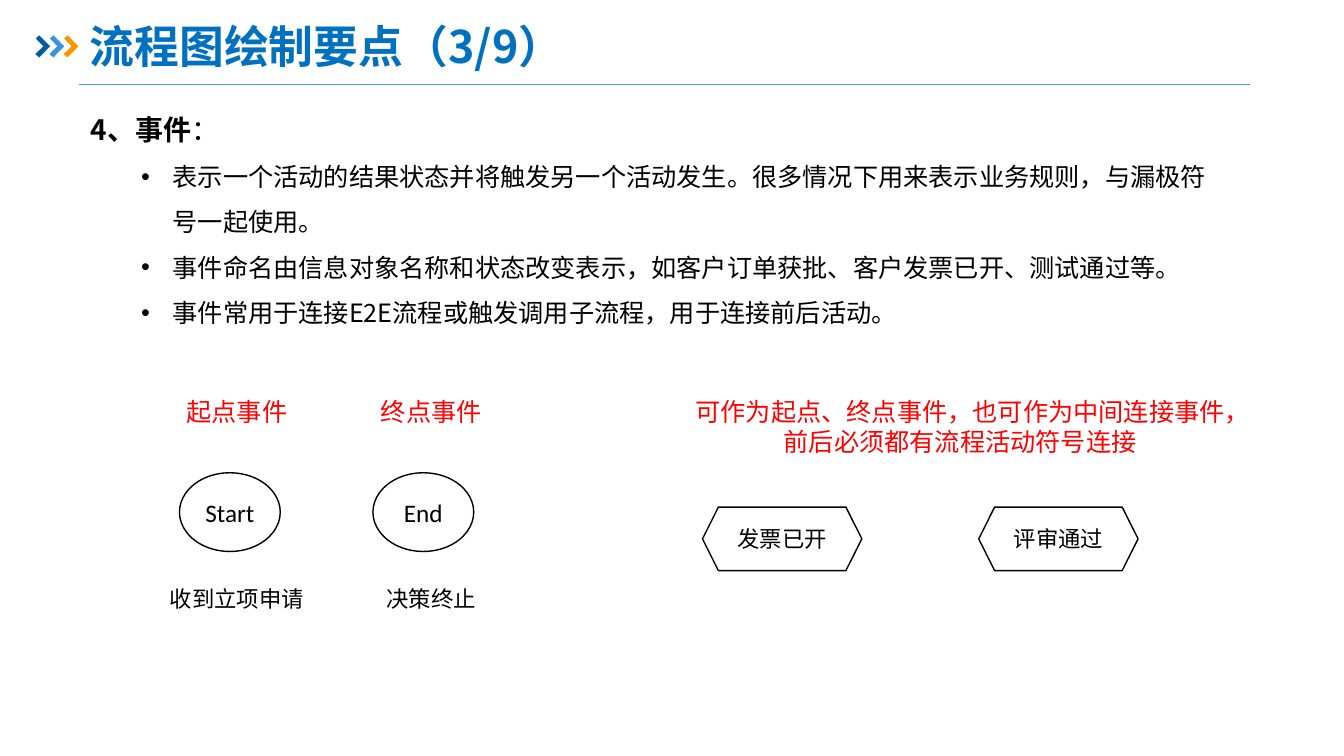
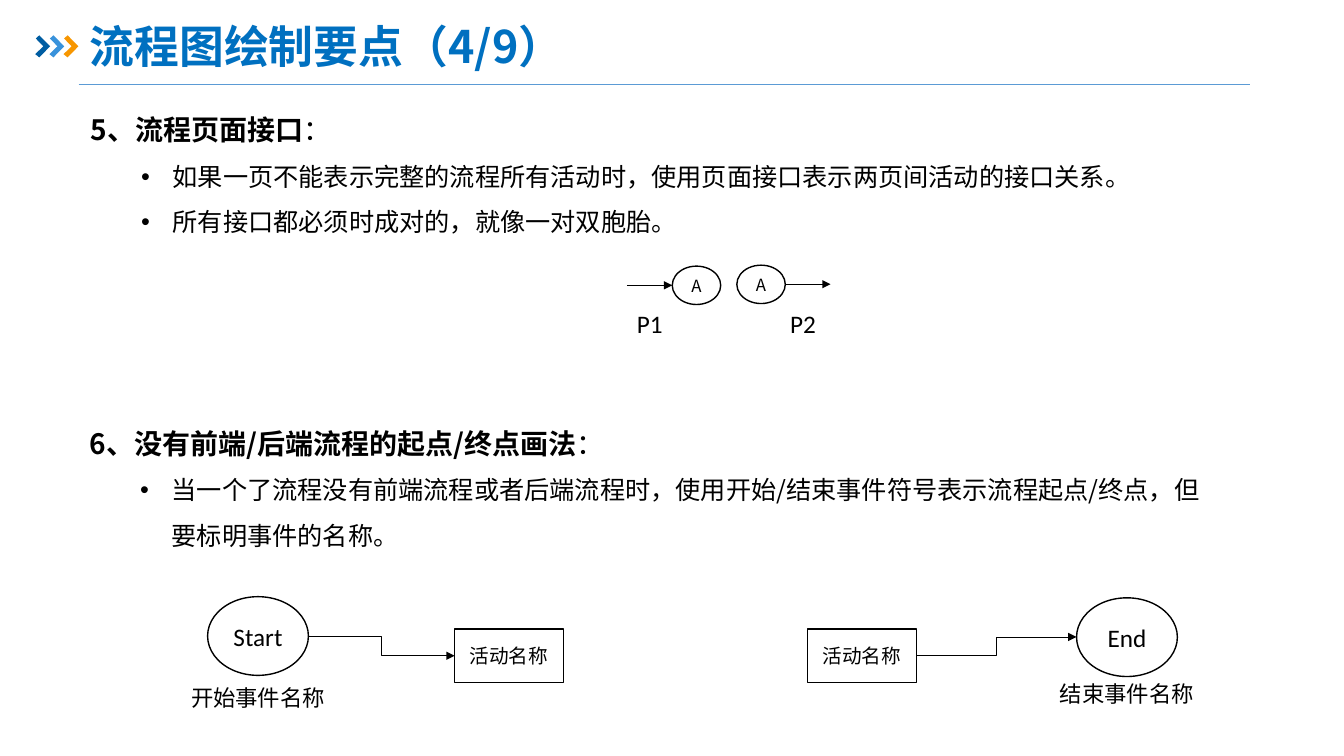
"""Build two slides on the key points of drawing flowcharts."""
from dataclasses import dataclass
from typing import Optional

import lxml.etree
import pptx
import pptx.dml.color
import pptx.enum.dml
import pptx.enum.shapes
import pptx.enum.text
import pptx.oxml.ns
import pptx.presentation
import pptx.shapes.autoshape
import pptx.shapes.base
import pptx.shapes.connector
import pptx.slide
import pptx.text.text
import pptx.util

Pt = pptx.util.Pt
RGBColor = pptx.dml.color.RGBColor
qn = pptx.oxml.ns.qn
SHAPE = pptx.enum.shapes.MSO_SHAPE
CONNECTOR = pptx.enum.shapes.MSO_CONNECTOR
ALIGN = pptx.enum.text.PP_ALIGN
ANCHOR = pptx.enum.text.MSO_ANCHOR
AUTO_SIZE = pptx.enum.text.MSO_AUTO_SIZE

CJK_FONT = "Noto Sans CJK SC"
LATIN_FONT = "Calibri"
BLACK = RGBColor(0x00, 0x00, 0x00)
WHITE = RGBColor(0xFF, 0xFF, 0xFF)
RED = RGBColor(0xFF, 0x00, 0x00)
TITLE_BLUE = RGBColor(0x00, 0x70, 0xC0)
RULE_BLUE = RGBColor(0x5B, 0x9B, 0xD5)
CHEVRON_COLORS = (
    RGBColor(0x00, 0x5D, 0xA2),
    RGBColor(0x39, 0x92, 0xDB),
    RGBColor(0xF7, 0x96, 0x00),
)
CHEVRON_OUTLINE = ((0.4, 2.3), (2.9, 0), (10.6, 7.9), (2.9, 15.8), (0, 13.5), (5.8, 7.9))
CHEVRON_START, CHEVRON_PITCH = 25.2, 10.1


@dataclass(frozen=True)
class Area:
    left: float
    top: float
    width: float
    height: float


@dataclass(frozen=True)
class Section:
    heading: str
    bullets: tuple[str, ...]
    area: Area


@dataclass(frozen=True)
class Label:
    text: str
    area: Area
    size: float = 16
    color: RGBColor = BLACK
    font: str = CJK_FONT
    align: Optional[ALIGN] = ALIGN.CENTER


@dataclass(frozen=True)
class Symbol:
    text: str
    kind: SHAPE
    area: Area
    size: float
    font: str = CJK_FONT


TITLE_AREA = Area(56.9, 13.7, 828, 42.5)


def caption(text: str, left: float, top: float) -> Label:
    """Describe a black caption under an event."""
    return Label(text, Area(left, top, 159.8, 26.6))


def red_note(text: str, left: float, width: float = 159.8, height: float = 28.8) -> Label:
    """Describe a red note above the symbols."""
    return Label(text, Area(left, 279.4, width, height), 18, RED)


def page_mark(text: str, left: float) -> Label:
    """Describe a page mark under a page interface."""
    return Label(text, Area(left, 216.7, 42.5, 28.8), 18, font=LATIN_FONT, align=None)


def event(text: str, left: float, top: float) -> Symbol:
    """Describe a start or end event."""
    return Symbol(text, SHAPE.OVAL, Area(left, top, 72, 56.2), 18, LATIN_FONT)


def state(text: str, left: float) -> Symbol:
    """Describe a state event."""
    return Symbol(text, SHAPE.HEXAGON, Area(left, 362.2, 113.8, 45.4), 16)


def interface(left: float, top: float) -> Symbol:
    """Describe a page interface."""
    return Symbol("A", SHAPE.FLOWCHART_CONNECTOR, Area(left, top, 34.6, 27.4), 12)


def activity(left: float) -> Symbol:
    """Describe an activity."""
    return Symbol("活动名称", SHAPE.FLOWCHART_PROCESS, Area(left, 449.3, 77.8, 38.2), 14)


def lengths(area: Area) -> tuple[int, ...]:
    """Return left, top, width and height as lengths."""
    return tuple(Pt(value) for value in (area.left, area.top, area.width, area.height))


def place(box: pptx.shapes.base.BaseShape, area: Area) -> None:
    """Move and size a box."""
    box.left, box.top, box.width, box.height = lengths(area)


def write(
    para: pptx.text.text._Paragraph,
    text: str,
    *,
    size: float,
    color: RGBColor = BLACK,
    bold: bool = False,
    font: str = CJK_FONT,
    align: Optional[ALIGN] = None,
) -> None:
    """Add formatted text to a paragraph."""
    span = para.add_run()
    span.text = text
    span.font.size = Pt(size)
    span.font.bold = bold
    span.font.name = font
    span.font.color.rgb = color
    if align is not None:
        para.alignment = align


def set_bullet(node: lxml.etree._Element, symbol: str) -> None:
    """Give a paragraph a bullet and indent, or neither when the symbol is empty."""
    properties = node.get_or_add_pPr()
    properties.set("marL", str(Pt(58.5) if symbol else 0))
    properties.set("indent", str(-Pt(22.5) if symbol else 0))
    if symbol:
        lxml.etree.SubElement(properties, qn("a:buFont"), typeface="Arial")
        lxml.etree.SubElement(properties, qn("a:buChar"), char=symbol)
    else:
        lxml.etree.SubElement(properties, qn("a:buNone"))


def fill_section(box: pptx.shapes.base.BaseShape, section: Section) -> None:
    """Write a heading and its bullets into a body placeholder."""
    place(box, section.area)
    frame = box.text_frame
    frame.auto_size = AUTO_SIZE.SHAPE_TO_FIT_TEXT
    write(frame.paragraphs[0], section.heading, size=20, bold=True)
    write(frame.paragraphs[0], "：", size=20)
    for bullet in section.bullets:
        para = frame.add_paragraph()
        para.level = 1
        write(para, bullet, size=18)
    for para, node in zip(frame.paragraphs, box.element.iter(qn("a:p"))):
        para.line_spacing = 1.5
        para.space_before = Pt(0)
        set_bullet(node, "•" if para.level else "")


def draw_label(page: pptx.slide.Slide, label: Label) -> None:
    """Draw a text box."""
    frame = page.shapes.add_textbox(*lengths(label.area)).text_frame
    frame.word_wrap = True
    frame.auto_size = AUTO_SIZE.SHAPE_TO_FIT_TEXT
    write(frame.paragraphs[0], label.text, size=label.size, color=label.color,
          font=label.font, align=label.align)


def draw_symbol(page: pptx.slide.Slide, symbol: Symbol) -> pptx.shapes.autoshape.Shape:
    """Draw a white flowchart symbol with centred text."""
    box = page.shapes.add_shape(symbol.kind, *lengths(symbol.area))
    box.shadow.inherit = False
    box.fill.solid()
    box.fill.fore_color.rgb = WHITE
    box.line.color.rgb = BLACK
    box.line.width = Pt(1)
    frame = box.text_frame
    frame.margin_left = frame.margin_right = frame.margin_top = frame.margin_bottom = Pt(0)
    frame.vertical_anchor = ANCHOR.MIDDLE
    write(frame.paragraphs[0], symbol.text, size=symbol.size, font=symbol.font,
          align=ALIGN.CENTER)
    return box


def draw_line(
    page: pptx.slide.Slide,
    start: tuple[float, float],
    end: tuple[float, float],
    *,
    kind: CONNECTOR = CONNECTOR.STRAIGHT,
    color: RGBColor = BLACK,
    arrow: bool = True,
) -> pptx.shapes.connector.Connector:
    """Draw a thin connector, with an arrowhead if wanted."""
    line = page.shapes.add_connector(kind, *(Pt(value) for value in start + end))
    line.line.color.rgb = color
    line.line.width = Pt(0.5)
    if arrow:
        outline = line.element.spPr.find(qn("a:ln"))
        lxml.etree.SubElement(outline, qn("a:tailEnd"), type="triangle")
    lxml.etree.SubElement(line.element.spPr, qn("a:effectLst"))
    return line


def draw_chevron(
    page: pptx.slide.Slide, left: float, color: RGBColor
) -> pptx.shapes.autoshape.Shape:
    """Draw one chevron of the title mark."""
    points = [(Pt(left + x), Pt(CHEVRON_START + y)) for x, y in CHEVRON_OUTLINE]
    builder = page.shapes.build_freeform(*points[0])
    builder.add_line_segments(points[1:], close=True)
    chevron = builder.convert_to_shape()
    chevron.shadow.inherit = False
    chevron.fill.solid()
    chevron.fill.fore_color.rgb = color
    chevron.line.fill.background()
    return chevron


def decorate_layout(page: pptx.slide.Slide) -> None:
    """Put the title rule and chevrons on the layout that the pages share."""
    layout = page.slide_layout
    place(layout.placeholders[0], TITLE_AREA)
    marks = [draw_line(page, (56.2, 60.5), (892.8, 60.5), color=RULE_BLUE, arrow=False)]
    for index, color in enumerate(CHEVRON_COLORS):
        marks.append(draw_chevron(page, CHEVRON_START + index * CHEVRON_PITCH, color))
    for number, mark in enumerate(marks, start=101):
        mark.element.xpath(".//p:cNvPr")[0].set("id", str(number))
        layout.shapes.element.append(mark.element)


def add_page(
    deck: pptx.presentation.Presentation, title: str, sections: tuple[Section, ...]
) -> pptx.slide.Slide:
    """Add a page with its title and sections."""
    page = deck.slides.add_slide(deck.slide_layouts[3])
    frame = page.shapes.title.text_frame
    frame.auto_size = AUTO_SIZE.NONE
    frame.vertical_anchor = ANCHOR.MIDDLE
    frame.paragraphs[0].line_spacing = 0.9
    write(frame.paragraphs[0], title, size=32, color=TITLE_BLUE, bold=True, align=ALIGN.LEFT)
    bodies = list(page.placeholders)[1:]
    for box, section in zip(bodies, sections):
        fill_section(box, section)
    for box in bodies[len(sections):]:
        box.element.getparent().remove(box.element)
    return page


def build_events(deck: pptx.presentation.Presentation) -> pptx.slide.Slide:
    """Build the page on events."""
    page = add_page(deck, "流程图绘制要点（3/9）", (Section("4、事件", (
        "表示一个活动的结果状态并将触发另一个活动发生。很多情况下用来表示业务规则，与漏极符号一起使用。",
        "事件命名由信息对象名称和状态改变表示，如客户订单获批、客户发票已开、测试通过等。",
        "事件常用于连接E2E流程或触发调用子流程，用于连接前后活动。",
    ), Area(57.6, 64.8, 820.8, 174.2)),))
    for label in (
        red_note("起点事件", 89.3),
        red_note("终点事件", 228.2),
        red_note("可作为起点、终点事件，也可作为中间连接事件，前后必须都有流程活动符号连接",
                 486.7, 398.2, 51.1),
        caption("收到立项申请", 89.3, 414.7),
        caption("决策终止", 228.2, 414.7),
    ):
        draw_label(page, label)
    for symbol in (event("Start", 128.2, 337.7), event("End", 266.4, 337.7),
                   state("发票已开", 501.8), state("评审通过", 699.1)):
        draw_symbol(page, symbol)
    return page


def build_interfaces(deck: pptx.presentation.Presentation) -> None:
    """Build the page on page interfaces and on start and end points."""
    page = add_page(deck, "流程图绘制要点（4/9）", (
        Section("5、流程页面接口", (
            "如果一页不能表示完整的流程所有活动时，使用页面接口表示两页间活动的接口关系。",
            "所有接口都必须时成对的，就像一对双胞胎。",
        ), Area(57.6, 64.8, 820.8, 108.7)),
        Section("6、没有前端/后端流程的起点/终点画法", (
            "当一个了流程没有前端流程或者后端流程时，使用开始/结束事件符号表示流程起点/终点，但要标明事件的名称。",
        ), Area(56.9, 288.7, 820.8, 108.7)),
    ))
    for symbol in (interface(480.2, 190.1), interface(526.3, 189.4),
                   event("Start", 148.3, 426.2), event("End", 769, 427)):
        draw_symbol(page, symbol)
    first, last = (draw_symbol(page, activity(left)) for left in (324.7, 576.7))
    draw_line(page, (447.8, 203.8), (480.2, 203.8))
    draw_line(page, (561.6, 203), (593.3, 203))
    entry = draw_line(page, (220.3, 454.3), (324.7, 468.4), kind=CONNECTOR.ELBOW)
    entry.end_connect(first, 1)
    leave = draw_line(page, (654.5, 468.4), (769, 455), kind=CONNECTOR.ELBOW)
    leave.begin_connect(last, 3)
    for label in (page_mark("P1", 447.8), page_mark("P2", 557.3),
                  caption("开始事件名称", 104.4, 485.3), caption("结束事件名称", 725, 482.4)):
        draw_label(page, label)


def set_east_asian_font(deck: pptx.presentation.Presentation) -> None:
    """Give every run the font for Chinese text."""
    for page in deck.slides:
        for latin in list(page.element.iter(qn("a:latin"))):
            east_asian = lxml.etree.SubElement(latin.getparent(), qn("a:ea"), typeface=CJK_FONT)
            latin.addnext(east_asian)


def main() -> None:
    """Build and save the deck."""
    deck = pptx.Presentation()
    deck.slide_width, deck.slide_height = Pt(960), Pt(540)
    decorate_layout(build_events(deck))
    build_interfaces(deck)
    set_east_asian_font(deck)
    deck.save("out.pptx")


if __name__ == "__main__":
    main()
